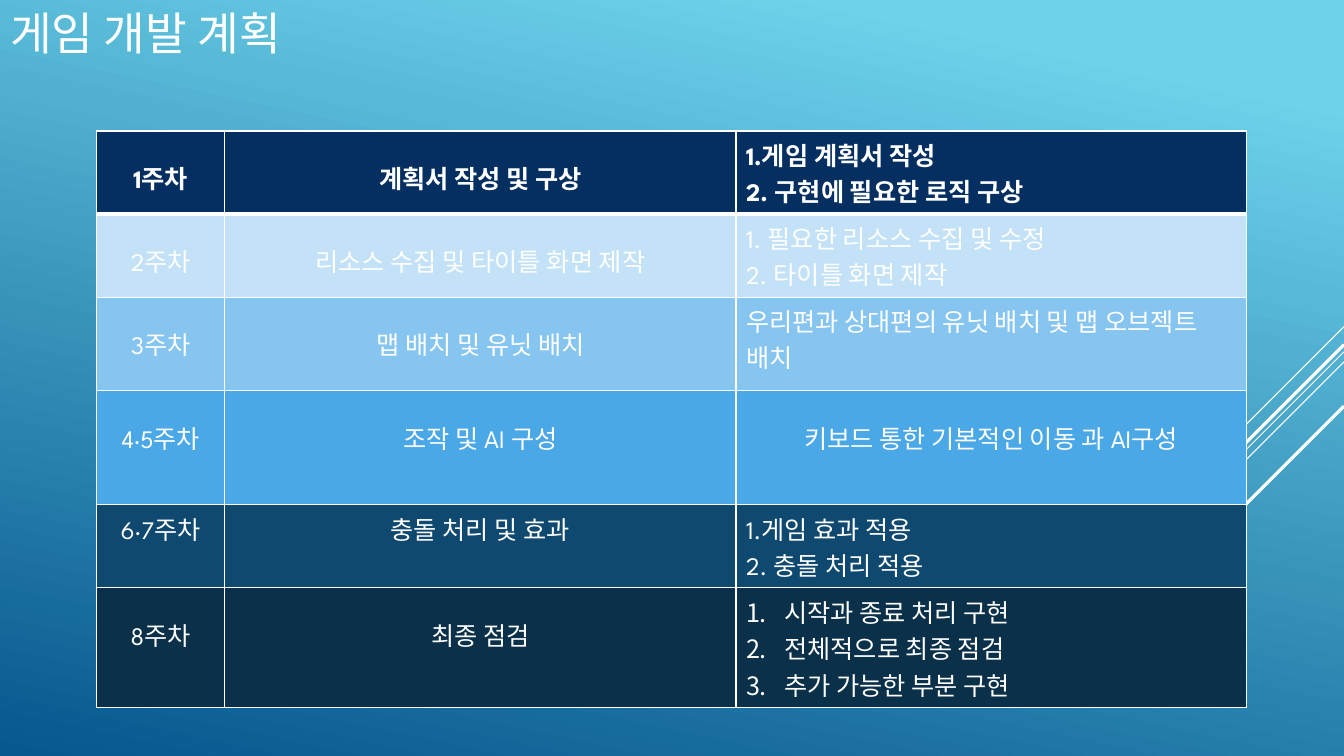
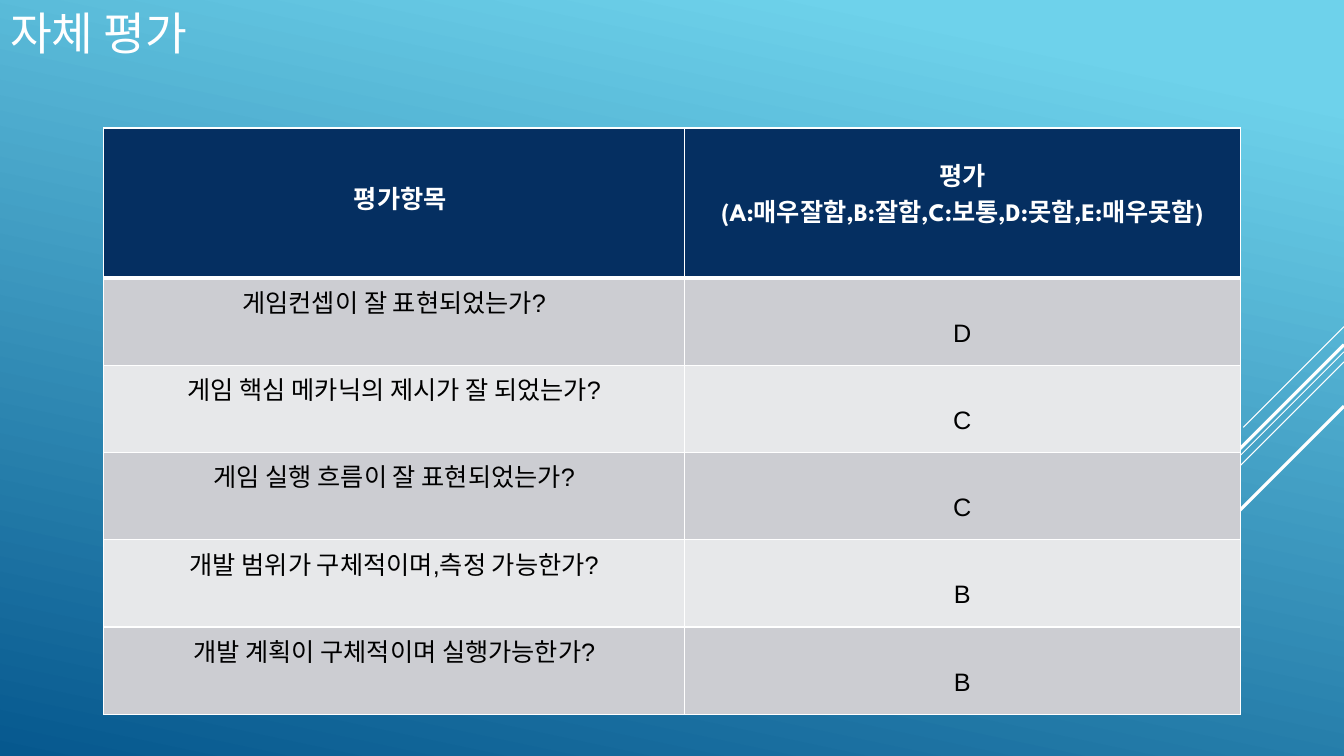
import pptx
import pptx.util
import pptx.dml.color
import pptx.enum.shapes
import pptx.enum.text
import pptx.oxml
import pptx.oxml.ns
from lxml import etree

Inches, Pt = pptx.util.Inches, pptx.util.Pt
ALIGN = pptx.enum.text.PP_ALIGN

COLORS = {
    "sky": "6ED2EB", "deep": "06588E", "white": "FFFFFF", "black": "000000",
    "navy": "052F61", "ice": "C3E2F7", "pale": "86C5EF", "azure": "4AA8E7",
    "teal": "0F496F", "ink": "0A304A", "gray": "CCCDD2", "light": "E7E8EA",
}
HEAD_FONT = "League Spartan"
MARGIN = 0.05      # top margin of a cell, inches
HEAD_DROP = 0.23   # extra drop of centred text
GRADE_DROP = 0.36

# start x, start y, length along each axis, weight
STRIPES = [
    (13.33, 3.24, 1.0, 0.75),
    (13.33, 3.49, 3.26, 0.75),
    (13.33, 3.59, 2.07, 0.75),
    (13.33, 3.42, 1.91, 2.25),
    (13.33, 4.03, 1.39, 2.25),
]

# row: (fill, height, cells); cell: (text, layout, drop)
PLAN_ROWS = [
    ("navy", 0.82, [("1주차", "center", HEAD_DROP),
                    ("계획서 작성 및 구상", "center", HEAD_DROP),
                    ("1.게임 계획서 작성\n2. 구현에 필요한 로직 구상", "left", 0)]),
    ("ice", 0.82, [("2주차", "center", HEAD_DROP),
                   ("리소스 수집 및 타이틀 화면 제작", "center", HEAD_DROP),
                   ("1. 필요한 리소스 수집 및 수정\n2. 타이틀 화면 제작", "left", 0)]),
    ("pale", 0.93, [("3주차", "center", HEAD_DROP),
                    ("맵 배치 및 유닛 배치", "center", HEAD_DROP),
                    ("우리편과 상대편의 유닛 배치 및 맵 오브젝트 배치", "left", 0)]),
    ("azure", 1.13, [("4·5주차", "center", HEAD_DROP),
                     ("조작 및 AI 구성", "center", HEAD_DROP),
                     ("키보드 통한 기본적인 이동 과 AI구성", "center", HEAD_DROP)]),
    ("teal", 0.82, [("6·7주차", "center", 0),
                    ("충돌 처리 및 효과", "center", 0),
                    ("1.게임 효과 적용\n2. 충돌 처리 적용", "left", 0)]),
    ("ink", 1.19, [("8주차", "center", HEAD_DROP),
                   ("최종 점검", "center", HEAD_DROP),
                   ("시작과 종료 처리 구현\n전체적으로 최종 점검\n추가 가능한 부분 구현",
                    "numbered", 0)]),
]

GRADES = [
    ("게임컨셉이 잘 표현되었는가?", "D"),
    ("게임 핵심 메카닉의 제시가 잘 되었는가?", "C"),
    ("게임 실행 흐름이 잘 표현되었는가?", "C"),
    ("개발 범위가 구체적이며,측정 가능한가?", "B"),
    ("개발 계획이 구체적이며 실행가능한가?", "B"),
]
REVIEW_ROWS = [
    ("navy", 1.49, [("평가항목", "shifted", 2 * HEAD_DROP),
                    ("평가\n(A:매우잘함,B:잘함,C:보통,D:못함,E:매우못함)", "center", HEAD_DROP)]),
] + [
    (("gray", "light")[i % 2], 0.865,
     [(question, "center", 0), (grade, "center", GRADE_DROP)])
    for i, (question, grade) in enumerate(GRADES)
]

SLIDES = [
    {"title": "게임 개발 계획", "at": (0.96, 1.3), "cols": (1.27, 5.07, 5.06),
     "rows": PLAN_ROWS, "body": {"font": HEAD_FONT, "color": "white"}},
    {"title": "자체 평가", "at": (1.03, 1.27), "cols": (5.76, 5.51),
     "rows": REVIEW_ROWS, "body": {"font": "Arial", "color": "black"}},
]


def rgb(name):
    return pptx.dml.color.RGBColor.from_string(COLORS[name])


def write(tf, text, size=18, font=HEAD_FONT, color="white", bold=False,
          align=ALIGN.LEFT, numbered=False):
    for i, line in enumerate(text.split("\n")):
        p = tf.add_paragraph() if i else tf.paragraphs[0]
        p.alignment = align
        r = p.add_run()
        r.text = line
        r.font.size, r.font.name, r.font.bold = Pt(size), font, bold
        r.font.color.rgb = rgb(color)
        if numbered:
            pPr = p._p.get_or_add_pPr()
            pPr.set("marL", str(Inches(0.38)))
            pPr.set("indent", str(Inches(-0.38)))
            bullet = etree.SubElement(pPr, pptx.oxml.ns.qn("a:buAutoNum"))
            bullet.set("type", "arabicPeriod")


def set_borders(cell, top, bottom):
    """Draw white borders; top and bottom are weights in points."""
    tcPr = cell._tc.get_or_add_tcPr()
    weights = (("lnL", 1), ("lnR", 1), ("lnT", top), ("lnB", bottom))
    for i, (tag, weight) in enumerate(weights):
        tcPr.insert(i, pptx.oxml.parse_xml(
            f'<a:{tag} {pptx.oxml.ns.nsdecls("a")} w="{Pt(weight)}"><a:solidFill>'
            f'<a:srgbClr val="{COLORS["white"]}"/></a:solidFill></a:{tag}>'))


def style_template(prs, layout):
    fill = prs.slide_master.background.fill
    fill.gradient()
    fill.gradient_angle = 360 - 102
    for stop, color, position in zip(fill.gradient_stops, ("sky", "deep"), (0.1, 1)):
        stop.color.rgb = rgb(color)
        stop.position = position
    title = layout.placeholders[0]
    title.left, title.top = Inches(0), Inches(0)
    title.width, title.height = prs.slide_width, Inches(0.65)
    title.text_frame.vertical_anchor = pptx.enum.text.MSO_ANCHOR.MIDDLE
    title.text_frame.auto_size = pptx.enum.text.MSO_AUTO_SIZE.NONE


def add_stripes(s, layout):
    """Draw the stripes on a slide and move them to its layout, behind all slides."""
    for i, (x, y, length, weight) in enumerate(STRIPES):
        stripe = s.shapes.add_connector(
            pptx.enum.shapes.MSO_CONNECTOR.STRAIGHT,
            Inches(x), Inches(y), Inches(x - length), Inches(y + length))
        stripe.line.color.rgb = rgb("white")
        stripe.line.width = Pt(weight)
        etree.SubElement(stripe.element.spPr, pptx.oxml.ns.qn("a:effectLst"))
        stripe.element.nvCxnSpPr.cNvPr.id = 20 + i
        layout.shapes.element.append(stripe.element)


def add_grid(s, at, cols, rows, body):
    x, y = at
    height = sum(row[1] for row in rows)
    table = s.shapes.add_table(len(rows), len(cols), Inches(x), Inches(y),
                               Inches(sum(cols)), Inches(height)).table
    table.horz_banding = False
    for column, width in zip(table.columns, cols):
        column.width = Inches(width)
    for i, (fill, row_height, cells) in enumerate(rows):
        table.rows[i].height = Inches(row_height)
        style = {"bold": True} if i == 0 else body
        for j, (text, layout, drop) in enumerate(cells):
            cell = table.cell(i, j)
            cell.fill.solid()
            cell.fill.fore_color.rgb = rgb(fill)
            cell.margin_top = Inches(MARGIN + drop)
            if layout == "shifted":
                cell.margin_left = Inches(0.22)
            centered = layout in ("center", "shifted")
            write(cell.text_frame, text, numbered=layout == "numbered",
                  align=ALIGN.CENTER if centered else ALIGN.LEFT, **style)
            set_borders(cell, top=3 if i == 1 else 1, bottom=3 if i == 0 else 1)


def main():
    prs = pptx.Presentation()
    prs.slide_width, prs.slide_height = Inches(13.33), Inches(7.5)
    layout = prs.slide_layouts[5]
    style_template(prs, layout)
    for i, content in enumerate(SLIDES):
        s = prs.slides.add_slide(layout)
        if i == 0:
            add_stripes(s, layout)
        write(s.shapes.title.text_frame, content["title"], size=32.4)
        add_grid(s, content["at"], content["cols"], content["rows"], content["body"])
    prs.save("out.pptx")


if __name__ == "__main__":
    main()
